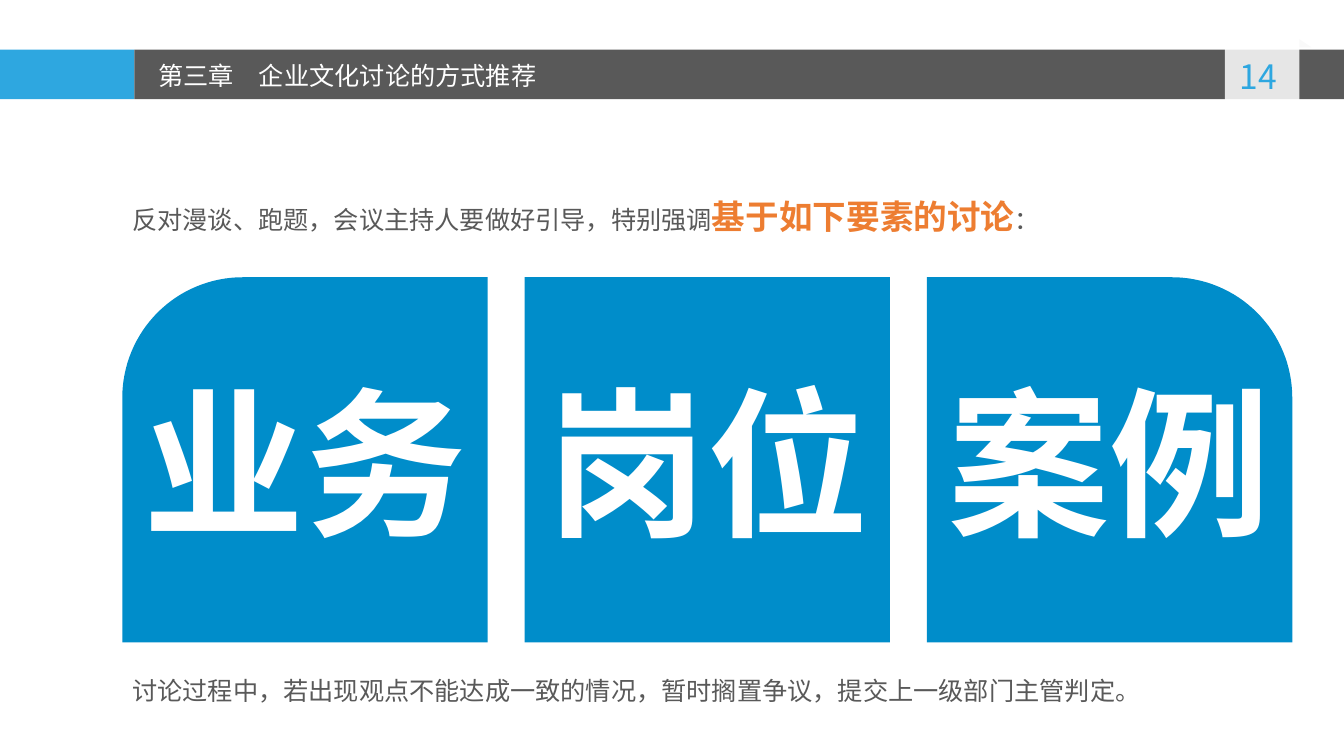
from math import cos, pi, sin

from lxml import etree
from pptx import Presentation
from pptx.dml.color import RGBColor
from pptx.enum.shapes import MSO_SHAPE
from pptx.enum.text import MSO_ANCHOR, MSO_AUTO_SIZE, PP_ALIGN
from pptx.oxml.ns import qn
from pptx.util import Inches, Pt

RECT, TRIANGLE = MSO_SHAPE.RECTANGLE, MSO_SHAPE.RIGHT_TRIANGLE
LEFT, CENTER = PP_ALIGN.LEFT, PP_ALIGN.CENTER
MIDDLE, FIT = MSO_ANCHOR.MIDDLE, MSO_AUTO_SIZE.SHAPE_TO_FIT_TEXT
SANS, LATIN = "Noto Sans CJK SC", "Calibri"
COLORS = {"sky": "2EA7E0", "gray": "595959", "tile": "008DCA",
          "orange": "ED7D31", "white": "FFFFFF", "fold": "F8F8F8"}


class Deck:
    """Style and current slide; lengths are percent of slide width and height."""

    def __init__(self, prs):
        """Add a blank slide to the presentation."""
        self.w, self.h = prs.slide_width, prs.slide_height
        self.s = prs.slides.add_slide(prs.slide_layouts[6])

    def at(self, x, y):
        """Turn a pair of percentages into lengths."""
        return int(self.w * x / 100), int(self.h * y / 100)

    def paint(self, sp, color, alpha=100):
        """Fill a shape plainly, without line or shadow."""
        sp.shadow.inherit = False
        sp.line.fill.background()
        sp.fill.solid()
        sp.fill.fore_color.rgb = RGBColor.from_string(COLORS[color])
        if alpha < 100:
            clr = sp._element.spPr.find(qn("a:solidFill")).find(qn("a:srgbClr"))
            etree.SubElement(clr, qn("a:alpha")).set("val", str(alpha * 1000))
        return sp

    def shape(self, kind, x, y, w, h, color, alpha=100):
        """Add a preset shape."""
        sp = self.s.shapes.add_shape(kind, *self.at(x, y), *self.at(w, h))
        return self.paint(sp, color, alpha)

    def outline(self, points, color, alpha=100):
        """Add a closed polygon through the given points."""
        start, *rest = [self.at(x, y) for x, y in points]
        builder = self.s.shapes.build_freeform(*start)
        builder.add_line_segments(rest, close=True)
        return self.paint(builder.convert_to_shape(), color, alpha)

    def add_runs(self, tf, runs, align=LEFT):
        """Put (text, size, colour, bold, font) runs into one paragraph."""
        p = tf.paragraphs[0]
        p.alignment = align
        for text, size, color, bold, font in runs:
            r = p.add_run()
            r.text = text
            r.font.size, r.font.bold, r.font.name = Pt(size), bold, font
            r.font.color.rgb = RGBColor.from_string(COLORS[color])
            if font == SANS:
                ea = etree.SubElement(r.font._element, qn("a:ea"))
                ea.set("typeface", font)
        return p

    def text(self, x, y, w, h, runs, align=LEFT, wrap=True):
        """Add a text box."""
        sp = self.s.shapes.add_textbox(*self.at(x, y), *self.at(w, h))
        tf = sp.text_frame
        tf.word_wrap, tf.auto_size = wrap, FIT
        return self.add_runs(tf, runs, align)

    def tile(self, x, y, w, h, word, corner=None):
        """Add a word tile, with the left or right top corner rounded."""
        if corner:
            rx, ry, steps = w * 0.33, h * 0.33, 32
            angles = [pi / 2 * i / steps for i in range(steps + 1)]
            points = [(x + rx - rx * cos(a), y + ry - ry * sin(a)) for a in angles]
            points += [(x + w, y), (x + w, y + h), (x, y + h)]
            if corner == "right":
                points = [(2 * x + w - px, py) for px, py in points]
            sp = self.outline(points, "tile")
        else:
            sp = self.shape(RECT, x, y, w, h, "tile")
        tf = sp.text_frame
        tf.word_wrap, tf.vertical_anchor = True, MIDDLE
        self.add_runs(tf, [(word, 115, "white", True, SANS)], CENTER)


prs = Presentation()
prs.slide_width, prs.slide_height = Inches(13.33), Inches(7.5)
deck = Deck(prs)

# Header bar with the page badge
BAR_Y, BAR_H, BADGE_X, BADGE_W = 6.58, 6.55, 91.13, 5.55
badge_end = BADGE_X + BADGE_W
deck.shape(RECT, 0, BAR_Y, 10, BAR_H, "sky")
deck.shape(RECT, 10, BAR_Y, 90, BAR_H, "gray")
deck.shape(TRIANGLE, badge_end, 5.2, 0.9, 1.07, "fold", 83)
deck.outline([(BADGE_X, 14.53), (BADGE_X, 5.33), (badge_end, 5.33),
              (badge_end, 14.53), (BADGE_X + BADGE_W / 2, 13.73)], "white", 85)
deck.text(BADGE_X, 6.8, BADGE_W, 6.67, [("14 ", 24, "sky", False, SANS)], CENTER)
deck.text(11.03, 7.33, 37.8, 5.33,
          [("第三章\u3000企业文化讨论的方式推荐", 18, "white", False, SANS)])

# Statement, three tiles and closing remark
TILE_X, TILE_Y, TILE_W, TILE_H, TILES_END = 9.1, 36.67, 27.18, 48.3, 96.15
deck.text(TILE_X, 25.2, 69.7, 6.8, [
    ("反对漫谈、跑题，会议主持人要做好引导，特别强调", 18, "gray", False, LATIN),
    ("基于如下要素的讨论", 24, "orange", True, SANS),
    ("：", 18, "gray", False, LATIN)], wrap=False)

tiles = [("业务", "left"), ("岗位", None), ("案例", "right")]
pitch = (TILES_END - TILE_X - TILE_W) / (len(tiles) - 1)
for i, (word, corner) in enumerate(tiles):
    deck.tile(TILE_X + i * pitch, TILE_Y, TILE_W, TILE_H, word, corner)

remark = deck.text(TILE_X, 87.87, TILES_END - TILE_X, 6.13, [
    ("讨论过程中，若出现观点不能达成一致的情况，暂时搁置争议，提交上一级部门主管判定。",
     18, "gray", False, SANS)])
remark.line_spacing, remark.space_before = 1.2, Pt(6)

prs.save("out.pptx")
